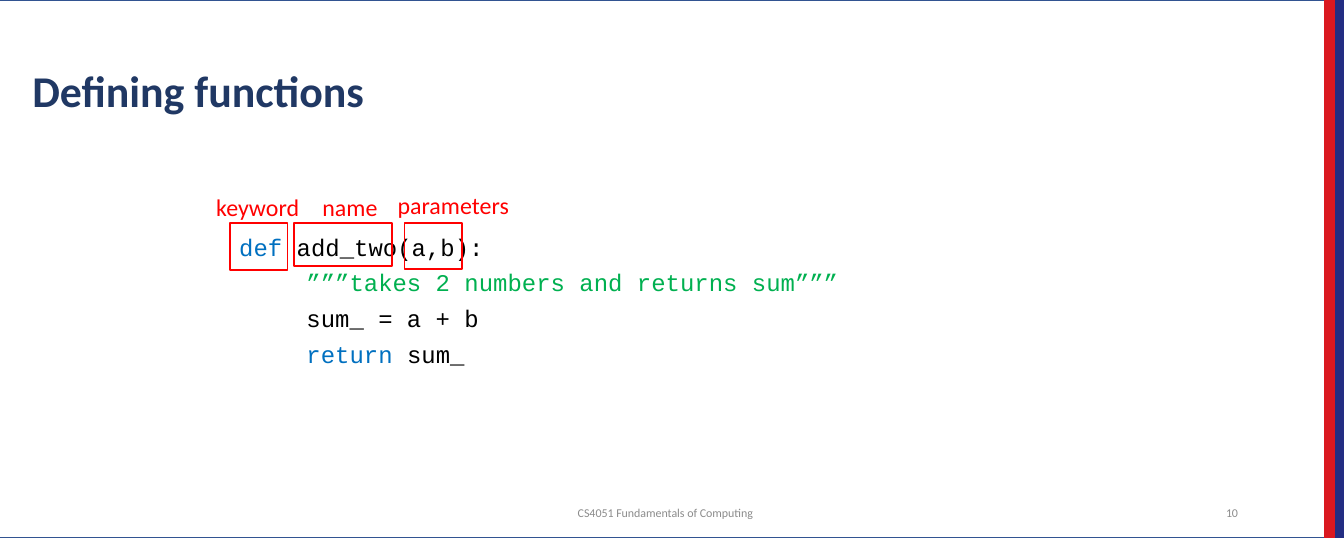
from dataclasses import dataclass

from lxml.etree import SubElement
from pptx import Presentation
from pptx.dml.color import RGBColor
from pptx.enum.shapes import MSO_SHAPE
from pptx.enum.text import MSO_ANCHOR, MSO_AUTO_SIZE, PP_ALIGN
from pptx.oxml.ns import qn
from pptx.util import Inches, Pt


@dataclass(frozen=True)
class Theme:
    sans: str = "Calibri"
    mono: str = "Courier New"
    title_size: float = 23.5
    text_size: float = 12.8
    footer_size: float = 6.4
    title: str = "203864"
    code: str = "000000"
    keyword: str = "0070C0"
    string: str = "00B050"
    mark: str = "FF0000"
    footer: str = "8C8C8C"
    page: str = "FFFFFF"
    frame: str = "325491"
    blue: str = "232D82"
    red: str = "DA1820"


T = Theme()

# Content
TITLE = "Defining functions"
CODE = [
    [("def ", T.keyword), ("add_two(a,b):", T.code)],
    [("\t", T.code), ("”””takes 2 numbers and returns sum”””", T.string)],
    [("\tsum_ = a + b", T.code)],
    [("\t", T.code), ("return", T.keyword), (" sum_", T.code)],
]
# label, label box, outline box
MARKS = [
    ("keyword", (1.51, 1.38, 0.99, 0.32), (1.71, 1.66, 0.43, 0.35)),
    ("name", (2.3, 1.38, 0.62, 0.32), (2.19, 1.66, 0.73, 0.32)),
    ("parameters", (2.86, 1.37, 1.06, 0.32), (3.01, 1.66, 0.43, 0.34)),
]
FOOTERS = [
    ("CS4051 Fundamentals of Computing", (2.6, 3.71, 4.7, 0.21), PP_ALIGN.CENTER),
    ("10", (8.75, 3.71, 0.56, 0.21), PP_ALIGN.RIGHT),
]
# box, fill, line
PANELS = [
    ((-0.07, 0, 9.93, 4), T.page, T.frame),
    ((9.93, 0, 0.07, 4), T.blue, T.blue),
    ((9.86, 0, 0.07, 4), T.red, T.red),
]


def inches(box):
    return [Inches(v) for v in box]


def style(r, size, color, name=T.sans, bold=False):
    r.font.name, r.font.size, r.font.bold = name, Pt(size), bold
    r.font.color.rgb = RGBColor.from_string(color)


def place(sp, box):
    sp.left, sp.top, sp.width, sp.height = inches(box)
    sp.text_frame.auto_size = MSO_AUTO_SIZE.NONE


def add_rect(slide, box, line, fill=None):
    sp = slide.shapes.add_shape(MSO_SHAPE.RECTANGLE, *inches(box))
    sp.shadow.inherit = False
    if fill:
        sp.fill.solid()
        sp.fill.fore_color.rgb = RGBColor.from_string(fill)
    else:
        sp.fill.background()
    sp.line.color.rgb = RGBColor.from_string(line)
    sp.line.width = Pt(1)
    return sp


def add_text(slide, text, box, size, color, align=PP_ALIGN.LEFT, anchor=MSO_ANCHOR.TOP):
    tf = slide.shapes.add_textbox(*inches(box)).text_frame
    tf.word_wrap, tf.vertical_anchor = True, anchor
    tf.text = text
    p = tf.paragraphs[0]
    p.alignment = align
    style(p.runs[0], size, color)


def set_title(sp):
    place(sp, (0.14, 0.15, 9.17, 0.77))
    tf = sp.text_frame
    tf.vertical_anchor = MSO_ANCHOR.BOTTOM
    tf.text = TITLE
    p = tf.paragraphs[0]
    p.alignment, p.line_spacing = PP_ALIGN.LEFT, 0.9
    style(p.runs[0], T.title_size, T.title, bold=True)


def set_code(sp):
    place(sp, (1.61, 1.7, 6.73, 2.13))
    tf = sp.text_frame
    tf.vertical_anchor = MSO_ANCHOR.TOP
    tf.margin_left = Inches(0.17)
    for i, line in enumerate(CODE):
        p = tf.add_paragraph() if i else tf.paragraphs[0]
        p.alignment, p.line_spacing = PP_ALIGN.JUSTIFY, 0.9
        p.space_before = Pt(5.3 if i else 0)
        # No bullet, and one tab stop for the function body
        pPr = p._p.get_or_add_pPr()
        pPr.set("marL", "0")
        pPr.set("indent", "0")
        SubElement(pPr, qn("a:buNone"))
        tabs = SubElement(pPr, qn("a:tabLst"))
        SubElement(tabs, qn("a:tab"), pos=str(Inches(0.54)), algn="l")
        for text, color in line:
            r = p.add_run()
            r.text = text
            style(r, T.text_size, color, T.mono)


def main():
    prs = Presentation()
    prs.slide_width, prs.slide_height = Inches(10), Inches(4)
    slide = prs.slides.add_slide(prs.slide_layouts[1])
    title, body = slide.placeholders

    # Page frame and side stripes, behind the placeholders
    for i, (box, fill, line) in enumerate(PANELS):
        sp = add_rect(slide, box, line, fill)
        slide.shapes._spTree.insert(2 + i, sp._element)

    # Title and code
    set_title(title)
    set_code(body)

    # Footer and page number
    for text, box, align in FOOTERS:
        add_text(slide, text, box, T.footer_size, T.footer, align, MSO_ANCHOR.MIDDLE)

    # Marked parts of the function header
    for label, label_box, outline in MARKS:
        add_rect(slide, outline, T.mark)
        add_text(slide, label, label_box, T.text_size, T.mark)

    prs.save("out.pptx")


if __name__ == "__main__":
    main()
